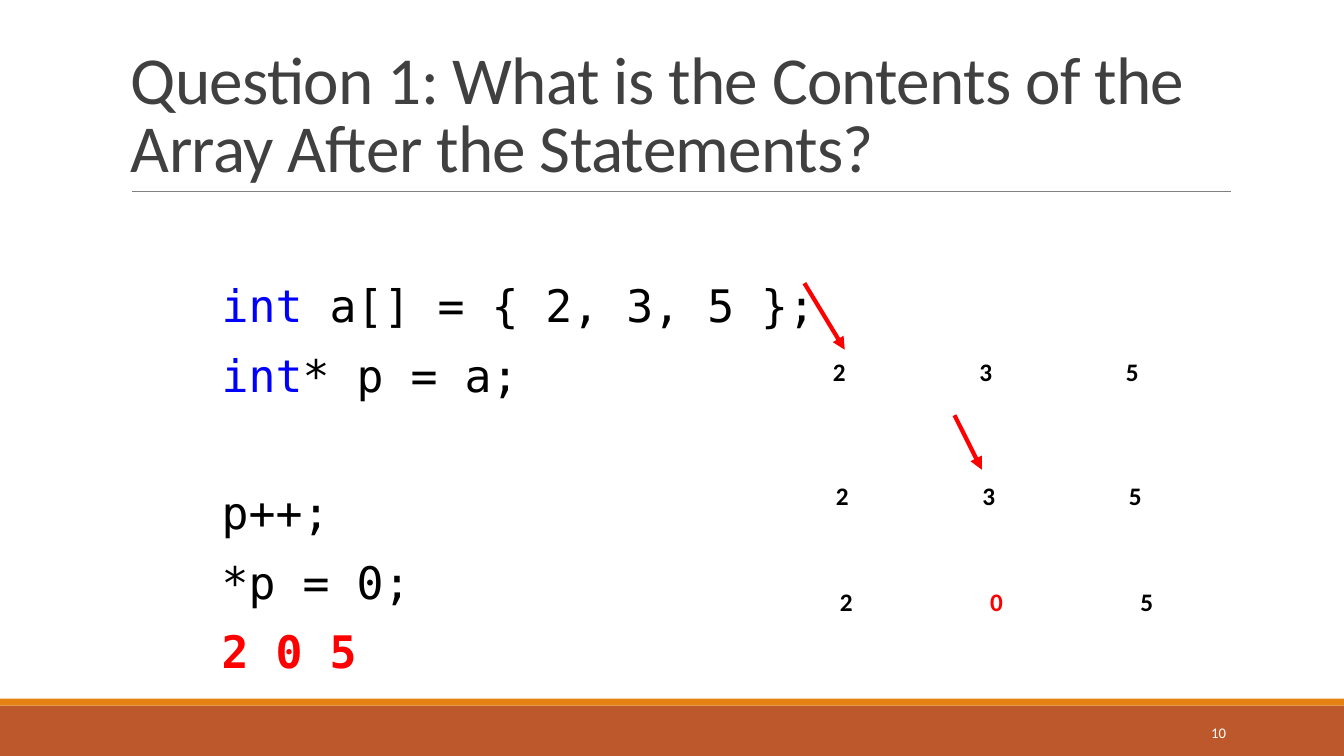
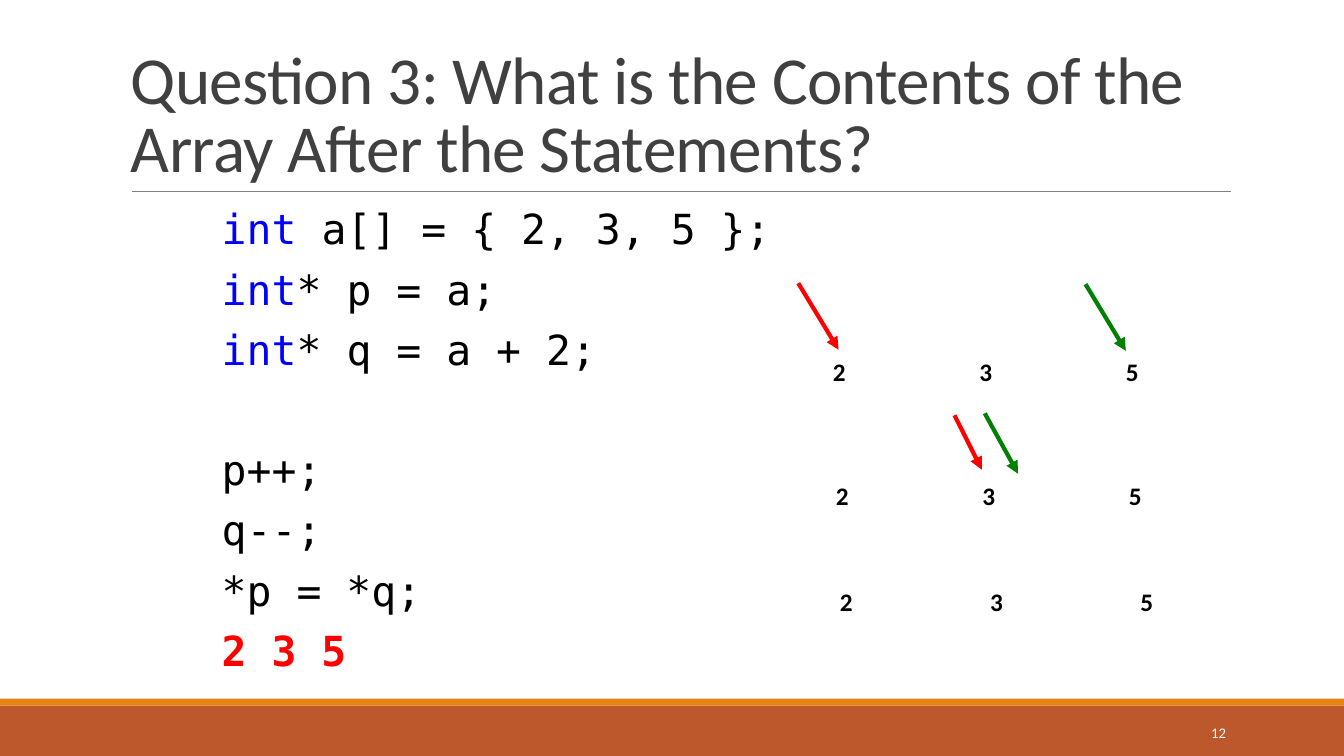
import pptx
import pptx.dml.color
import pptx.enum.shapes
import pptx.enum.text
import pptx.oxml
import pptx.oxml.ns
import pptx.util

Pt = pptx.util.Pt
Align = pptx.enum.text.PP_ALIGN
Anchor = pptx.enum.text.MSO_ANCHOR

COLORS = {
    "band": "BD582C", "stripe": "E48312", "rule": "808080", "title": "404040",
    "white": "FFFFFF", "black": "000000", "red": "FF0000", "green": "008000",
    "blue": "0000FF",
}
FONTS = {
    "title": {"name": "Calibri", "size": Pt(48)},
    "page": {"name": "Calibri", "size": Pt(10.5)},
    "cell": {"name": "Calibri", "size": Pt(18), "bold": True},
    "code": {"name": "DejaVu Sans Mono"},
}


def color(key):
    return pptx.dml.color.RGBColor.from_string(COLORS[key])


def apply(target, values):
    for key, value in values.items():
        setattr(target, key, value)


class Deck:
    def __init__(self):
        self.file = pptx.Presentation()
        apply(self.file, {"slide_width": Pt(960), "slide_height": Pt(540)})
        self.slide = None

    def start(self, title, page):
        self.slide = self.file.slides.add_slide(self.file.slide_layouts[6])
        self.band(504, 36, "band")
        self.band(499, 5, "stripe")
        self.line((94.3, 136.8), (879.1, 136.8), "rule", 0.5)
        frame = self.box(86.4, 22.6, 792, 114.2, {"vertical_anchor": Anchor.BOTTOM})
        frame.paragraphs[0].line_spacing = 0.85
        run = self.text(frame.paragraphs[0], title, "title", "title")
        run.font._element.set("spc", "-50")
        frame = self.box(779.8, 508.6, 103, 28.8, {"vertical_anchor": Anchor.MIDDLE})
        frame.paragraphs[0].alignment = Align.RIGHT
        self.text(frame.paragraphs[0], str(page), "page", "white")

    def band(self, top, height, fill):
        kind = pptx.enum.shapes.MSO_SHAPE.RECTANGLE
        shape = self.slide.shapes.add_shape(
            kind, 0, Pt(top), self.file.slide_width, Pt(height))
        shape.shadow.inherit = False
        shape.fill.solid()
        shape.fill.fore_color.rgb = color(fill)
        shape.line.fill.background()

    def line(self, start, end, shade, width, arrow=False):
        kind = pptx.enum.shapes.MSO_CONNECTOR.STRAIGHT
        line = self.slide.shapes.add_connector(
            kind, *[Pt(value) for value in start + end])
        line.line.color.rgb = color(shade)
        line.line.width = Pt(width)
        if arrow:
            head = pptx.oxml.parse_xml(
                f'<a:tailEnd {pptx.oxml.ns.nsdecls("a")} type="triangle"/>')
            line.line._get_or_add_ln().append(head)
        line._element.spPr.append(pptx.oxml.parse_xml(
            f'<a:effectLst {pptx.oxml.ns.nsdecls("a")}/>'))

    def box(self, left, top, width, height, form):
        shape = self.slide.shapes.add_textbox(Pt(left), Pt(top), Pt(width), Pt(height))
        apply(shape.text_frame, {"word_wrap": True, **form})
        return shape.text_frame

    def text(self, para, words, style, shade, **extra):
        run = para.add_run()
        run.text = words
        apply(run.font, {**FONTS[style], **extra})
        run.font.color.rgb = color(shade)
        return run

    def code(self, top, lines, answer, size, pack, after):
        frame = self.box(158.4, top, 460, 490 - top,
                         {"margin_left": 0, "margin_top": 0, "margin_bottom": 0})
        pitch = size * 1.164 * pack + 12 + after
        para, gap = frame.paragraphs[0], 0
        for words in lines + [answer]:
            if not words:
                gap += pitch
                continue
            apply(para, {"line_spacing": pack, "space_before": Pt(gap),
                         "space_after": Pt(after)})
            if words == answer:
                self.text(para, words, "code", "red", size=Pt(size), bold=True)
                break
            if words.startswith("int"):
                self.text(para, "int", "code", "blue", size=Pt(size))
                words = words[3:]
            self.text(para, words, "code", "black", size=Pt(size))
            para, gap = frame.add_paragraph(), 12

    def table(self, left, top, wide, values, marked=None):
        grid = self.slide.shapes.add_table(
            1, len(values), Pt(left), Pt(top), Pt(wide * len(values)), Pt(29.2)).table
        for index, value in enumerate(values):
            grid.columns[index].width = Pt(wide)
            cell = grid.cell(0, index)
            cell.fill.solid()
            cell.fill.fore_color.rgb = color("white")
            para = cell.text_frame.paragraphs[0]
            para.alignment = Align.CENTER
            self.text(para, value, "cell", "red" if index == marked else "black")


TABLES = [(547.2, 252, 104.6), (549.4, 340.6, 104.6), (550.8, 416.2, 107.3)]
STEP = ((681.8, 296.6), (701.3, 335.5), "red")
SLIDES = [
    {
        "number": 1, "page": 10, "last": "205", "marked": 1,
        "code": {
            "top": 203, "size": 32, "pack": 0.9, "after": 3, "answer": "2 0 5",
            "lines": ["int a[] = { 2, 3, 5 };", "int* p = a;", "", "p++;", "*p = 0;"],
        },
        "arrows": [((574.6, 202.3), (603.4, 249.8), "red"), STEP],
    },
    {
        "number": 3, "page": 12, "last": "235", "marked": None,
        "code": {
            "top": 152, "size": 29.6, "pack": 0.8, "after": 2.8, "answer": "2 3 5",
            "lines": ["int a[] = { 2, 3, 5 };", "int* p = a;", "int* q = a + 2;", "",
                      "p++;", "q--;", "*p = *q;"],
        },
        "arrows": [
            ((570.2, 202.3), (599, 249.8), "red"), STEP,
            ((775.4, 203), (804.2, 250.6), "green"),
            ((703.4, 295.2), (727.2, 338.4), "green"),
        ],
    },
]


def main():
    deck = Deck()
    for item in SLIDES:
        deck.start(f"Question {item['number']}: What is the Contents of the "
                   "Array After the Statements?", item["page"])
        deck.code(**item["code"])
        for place in TABLES[:2]:
            deck.table(*place, "235")
        deck.table(*TABLES[2], item["last"], item["marked"])
        for start, end, shade in item["arrows"]:
            deck.line(start, end, shade, 3, arrow=True)
    deck.file.save("out.pptx")


if __name__ == "__main__":
    main()
